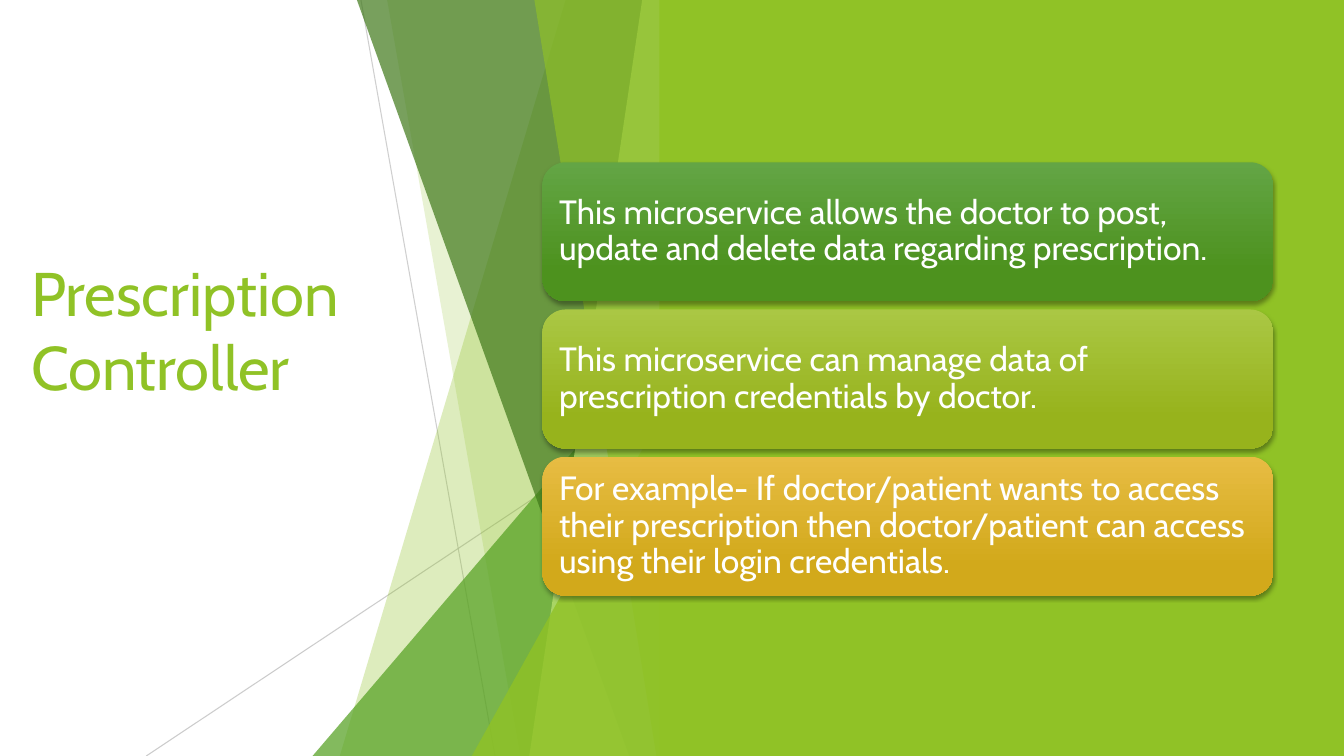
"""Build the Prescription Controller slide with its facets and three cards."""
from lxml import etree
from pptx import Presentation, util as u
from pptx.dml.color import RGBColor
from pptx.enum import shapes as sh, text as tx
from pptx.oxml.ns import qn

LIME = RGBColor(0x90, 0xC2, 0x26)
GREEN = RGBColor(0x54, 0xA0, 0x21)
DARK = RGBColor(0x3F, 0x78, 0x19)
PALE = RGBColor(0xC0, 0xE4, 0x74)
GREY = RGBColor(0xBF, 0xBF, 0xBF)
WHITE = RGBColor(0xFF, 0xFF, 0xFF)
WIDE, HIGH = u.Inches(13.33), u.Inches(7.5)
EDGE = WIDE // 2
kinds = sh.MSO_SHAPE

deck = Presentation()
deck.slide_width, deck.slide_height = WIDE, HIGH
slide = deck.slides.add_slide(deck.slide_layouts[6])
parts = slide.shapes


def fade(fill, part, color, alpha):
    fill.solid()
    fill.fore_color.rgb = color
    for tone in part.iter(qn("a:srgbClr")):
        etree.SubElement(tone, qn("a:alpha")).set("val", str(alpha * 1000))


def write(frame, words, size, color, form):
    for key, value in form.items():
        setattr(frame, key, value)
    para = frame.paragraphs[0]
    para.alignment = tx.PP_ALIGN.LEFT
    run = para.add_run()
    run.text = words
    for key, value in {"name": "Cabin", "size": u.Pt(size)}.items():
        setattr(run.font, key, value)
    run.font.color.rgb = color
    return para


title = parts.add_textbox(u.Inches(0.21), u.Inches(1.55), u.Inches(5.09), u.Inches(4.16))
write(title.text_frame, "Prescription Controller", 44, LIME, {
    "word_wrap": True,
    "vertical_anchor": tx.MSO_ANCHOR.MIDDLE,
    "margin_bottom": u.Inches(0.79),
})

rays = [
    (u.Inches(3.58), 0, u.Inches(4.91), HIGH, 75),
    (EDGE, u.Inches(4.03), u.Inches(1.45), HIGH, 80),
]
for *ends, alpha in rays:
    ray = parts.add_connector(sh.MSO_CONNECTOR.STRAIGHT, *ends)
    ray.line.width = u.Pt(0.75)
    props = ray.element.spPr
    fade(ray.line.fill, props, GREY, alpha)
    etree.SubElement(props, qn("a:effectLst"))

facets = [
    (5.61, 3.37, 0, LIME, 30),
    (3.84, 5.16, 0, LIME, 20),
    (6.66, 3.1, 3.33, GREEN, 72),
    (3.54, 6.24, 0, DARK, 70),
    (6.37, 5.25, 0, PALE, 70),
    (5.3, 6.51, 0, LIME, 65),
    (6.66, 4.68, 3.93, LIME, 80),
]
for top, base, peak, color, alpha in facets:
    top, base, peak = u.Inches(top), u.Inches(base), u.Inches(peak)
    if peak:
        facet = parts.add_shape(kinds.ISOSCELES_TRIANGLE, base, peak, EDGE - base, HIGH - peak)
        facet.adjustments[0] = 1
    else:
        pen = parts.build_freeform(top, 0)
        pen.add_line_segments([(EDGE, 0), (EDGE, HIGH), (base, HIGH)], close=True)
        facet = pen.convert_to_shape()
    fade(facet.fill, facet.element.spPr, color, alpha)
    facet.line.fill.background()
    facet.shadow.inherit = False

left = u.Inches(6.54)
panel = parts.add_shape(kinds.RECTANGLE, left, 0, WIDE - left, HIGH)
panel.fill.solid()
panel.fill.fore_color.rgb = LIME
panel.line.fill.background()
panel.shadow.inherit = False

cards = [
    ("This microservice allows the doctor to post, update and delete data "
     "regarding prescription.",
     RGBColor(0x63, 0xA5, 0x45), RGBColor(0x4D, 0x92, 0x1E)),
    ("This microservice can manage data of prescription credentials by doctor.",
     RGBColor(0xAA, 0xC7, 0x44), RGBColor(0x97, 0xB3, 0x1C)),
    ("For example- If doctor/patient wants to access their prescription then "
     "doctor/patient can access using their login credentials.",
     RGBColor(0xE7, 0xBC, 0x43), RGBColor(0xD2, 0xA9, 0x1B)),
]
form = {"word_wrap": True, "vertical_anchor": tx.MSO_ANCHOR.MIDDLE}
for side in ("left", "right", "top", "bottom"):
    form["margin_" + side] = u.Inches(0.1)
for row, (words, light, deep) in enumerate(cards):
    card = parts.add_shape(kinds.ROUNDED_RECTANGLE, u.Inches(5.38),
                           u.Inches(1.61 + 1.46 * row), u.Inches(7.25), u.Inches(1.38))
    card.fill.gradient()
    card.fill.gradient_angle = 270
    for stop, color, place in zip(card.fill.gradient_stops, (light, deep), (0, 0.78)):
        stop.color.rgb = color
        stop.position = place
    card.line.fill.background()
    card.shadow.inherit = False
    glow = etree.SubElement(card.element.spPr.find(qn("a:effectLst")), qn("a:outerShdw"))
    for key, value in {"blurRad": u.Pt(3), "dist": u.Pt(2), "dir": 5400000,
                       "algn": "ctr", "rotWithShape": 0}.items():
        glow.set(key, str(value))
    tone = etree.SubElement(glow, qn("a:srgbClr"), val="000000")
    etree.SubElement(tone, qn("a:alpha"), val="35000")
    para = write(card.text_frame, words, 24, WHITE, form)
    para.line_spacing = 0.9

deck.save("out.pptx")
